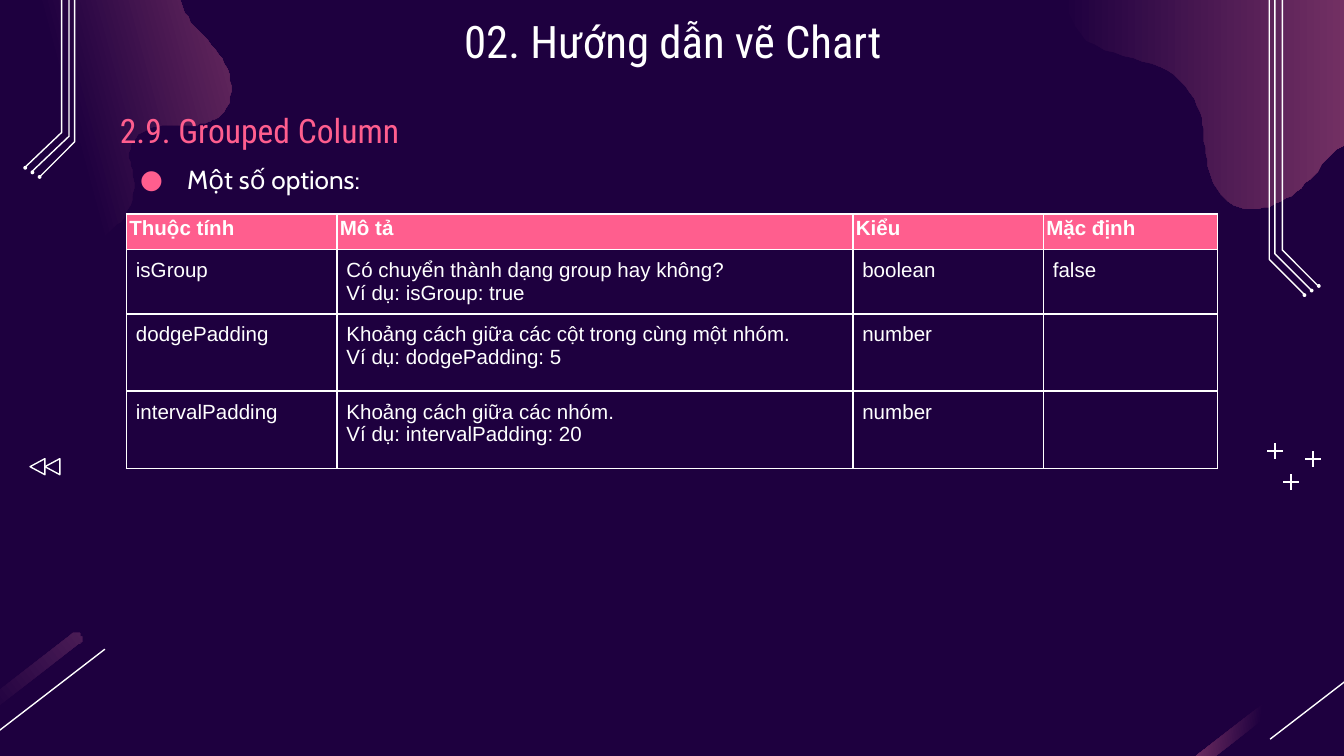
from lxml import etree
from pptx import Presentation
from pptx.dml.color import RGBColor as RGB
from pptx.enum.shapes import MSO_CONNECTOR as CONN, MSO_SHAPE as SHAPE
from pptx.enum.text import MSO_ANCHOR as ANCHOR, MSO_AUTO_SIZE as AUTO, PP_ALIGN as ALIGN
from pptx.oxml.ns import qn
from pptx.util import Pt

HEX = {"night": "1E003F", "plum": "A64D79", "dusk": "4A1C55", "pink": "FF5E8E", "white": "FFFFFF"}
INK = {name: RGB.from_string(code) for name, code in HEX.items()}

prs = Presentation()
prs.slide_width, prs.slide_height = Pt(720), Pt(405)
slide = prs.slides.add_slide(prs.slide_layouts[3])
slide.background.fill.solid()
slide.background.fill.fore_color.rgb = INK["night"]
shapes = slide.shapes


def draw(points, closed):
    pen = shapes.build_freeform(*points[0], scale=Pt(1))
    pen.add_line_segments(points[1:], close=closed)
    shape = pen.convert_to_shape()
    shape.shadow.inherit = False
    return shape


def rule(x1, y1, x2, y2):
    line = shapes.add_connector(CONN.STRAIGHT, Pt(x1), Pt(y1), Pt(x2), Pt(y2))
    line.line.color.rgb = INK["white"]
    line.line.width = Pt(0.75)
    etree.SubElement(line._element.spPr, qn("a:effectLst"))


# Outlines in inches: start, cubic curves, straight tail, then start stop, angle, end colour
blobs = [
    ((-0.03, 1.66), [
        (0.06, 1.84, 0.29, 1.95, 0.47, 1.9), (0.74, 1.83, 0.86, 1.69, 0.9, 1.65),
        (0.98, 1.56, 1.01, 1.43, 0.99, 1.31), (0.98, 1.24, 0.95, 1.17, 0.97, 1.11),
        (0.98, 1.02, 1.06, 0.97, 1.14, 0.95), (1.24, 0.92, 1.33, 0.93, 1.42, 0.93),
        (1.46, 0.93, 1.5, 0.92, 1.53, 0.91), (1.58, 0.9, 1.63, 0.88, 1.66, 0.84),
        (1.74, 0.75, 1.73, 0.61, 1.69, 0.51), (1.64, 0.41, 1.55, 0.32, 1.48, 0.23),
        (1.4, 0.15, 1.33, 0.04, 1.33, -0.07)],
     [(1.43, -0.31), (2.28, -0.43), (2.6, -0.87), (1.67, -1.51), (-1.28, -0.61),
      (-1.94, 0.22), (-0.88, 0.99), (-0.13, 1.33)], 0.5, 15, "plum"),
    ((7.9, -0.18), [
        (7.91, 0, 7.96, 0.18, 8.09, 0.3), (8.25, 0.42, 8.47, 0.42, 8.64, 0.5),
        (8.78, 0.57, 8.88, 0.69, 8.93, 0.83), (8.96, 0.94, 8.96, 1.07, 8.98, 1.19),
        (9, 1.3, 9.05, 1.43, 9.14, 1.5), (9.24, 1.57, 9.38, 1.57, 9.49, 1.52),
        (9.6, 1.47, 9.69, 1.39, 9.78, 1.3), (9.83, 1.23, 9.88, 1.16, 9.95, 1.11),
        (10.02, 1.06, 10.1, 1.03, 10.18, 1.06), (10.33, 1.1, 10.38, 1.3, 10.52, 1.38),
        (10.85, 1.57, 11.08, 1.12, 11.17, 0.88)],
     [(11.25, 0.38), (10.58, -0.77), (9.29, -1.13), (8.52, -1.43), (7.93, -0.78)], 0, 0, "plum"),
]
for x, tint, turn in ((0, "dusk", 37), (9.53, "plum", 173)):
    blobs.append(((x + 0.53, 4.72), [
        (x + 0.56, 4.7, x + 0.59, 4.7, x + 0.6, 4.72), (x + 0.61, 4.75, x + 0.61, 4.78, x + 0.59, 4.79)],
        [(x - 0.81, 5.88), (x - 0.88, 5.87), (x - 0.87, 5.8)], 0.5, turn, tint))

for start, curves, tail, first, turn, tint in blobs:
    points = [start]
    for ax, ay, bx, by, ex, ey in curves:
        sx, sy = points[-1]
        for t in [n / 8 for n in range(1, 9)]:
            u = 1 - t
            points.append(tuple(
                u**3 * s + 3 * u * u * t * a + 3 * u * t * t * b + t**3 * e
                for s, a, b, e in ((sx, ax, bx, ex), (sy, ay, by, ey))))
    blob = draw([(x * 72, y * 72) for x, y in points + tail], True)
    blob.line.fill.background()
    blob.fill.gradient()
    blob.fill.gradient_angle = turn
    for stop, place, name in zip(blob.fill.gradient_stops, (first, 1), ("night", tint)):
        stop.position = place
        stop.color.rgb = INK[name]

for x in (56.2, 743):
    rule(x, 347.8, x - 62.6, 396)

for x, top, bend, side in ((32.8, -149, 70.6, 1), (687.2, -85.7, 133.9, -1)):
    for n in range(3):
        px, py = x + side * 3.85 * n, bend + 2.45 * n
        ex, ey = px - side * 19.3, py + 19.3
        pipe = draw([(px, top), (px, py), (ex, ey)], False)
        pipe.fill.background()
        pipe.line.color.rgb = INK["white"]
        pipe.line.width = Pt(0.75)
        dot = shapes.add_shape(SHAPE.OVAL, Pt(ex - 1), Pt(ey - 1), Pt(2), Pt(2))
        dot.shadow.inherit = False
        dot.fill.solid()
        dot.fill.fore_color.rgb = INK["white"]
        dot.line.fill.background()

for x, y in ((691.6, 258.2), (703.4, 245.9), (683.1, 241.6)):
    rule(x - 4.2, y, x + 4.2, y)
    rule(x, y - 4.2, x, y + 4.2)

for x in (15.8, 23.8):
    arrow = shapes.add_shape(SHAPE.ISOSCELES_TRIANGLE, Pt(x), Pt(246), Pt(8.6), Pt(8))
    arrow.rotation = 270
    arrow.shadow.inherit = False
    arrow.fill.background()
    arrow.line.color.rgb = INK["white"]
    arrow.line.width = Pt(0.75)

title, body, head = slide.placeholders
texts = [
    (body, (57, 72, 585, 36), "Một số options:", 14, "Cabin", "white", ALIGN.LEFT, ANCHOR.TOP, 1.5, 0),
    (title, (57, 0, 607, 45), "02. Hướng dẫn vẽ Chart", 24, "Roboto Condensed", "white",
     ALIGN.CENTER, ANCHOR.TOP, 1, 0),
    (head, (57, 55.4, 505, 32.4), "2.9. Grouped Column", 18, "Roboto Condensed", "pink",
     ALIGN.LEFT, ANCHOR.BOTTOM, 1.15, 12),
]
for box, place, words, size, face, tint, align, anchor, gap, after in texts:
    shapes._spTree.append(box._element)
    box.left, box.top, box.width, box.height = map(Pt, place)
    frame = box.text_frame
    frame.text = words
    frame.word_wrap = True
    frame.auto_size = AUTO.NONE
    frame.vertical_anchor = anchor
    frame.margin_left = frame.margin_right = frame.margin_top = frame.margin_bottom = Pt(7.2)
    para = frame.paragraphs[0]
    para.alignment = align
    para.line_spacing = gap
    para.space_before, para.space_after = Pt(0), Pt(after)
    props = para._p.get_or_add_pPr()
    if box is body:
        props.set("marL", str(Pt(36)))
        props.set("indent", str(Pt(-25.2)))
        etree.SubElement(etree.SubElement(props, qn("a:buClr")), qn("a:srgbClr"), val=HEX["pink"])
        etree.SubElement(props, qn("a:buFont"), typeface="Cabin")
        etree.SubElement(props, qn("a:buChar"), char="●")
    else:
        props.set("marL", "0")
        props.set("indent", "0")
        etree.SubElement(props, qn("a:buNone"))
    para.font.size, para.font.name = Pt(size), face
    para.font.color.rgb = INK[tint]

rows = [
    ("Thuộc tính", "Mô tả", "Kiểu", "Mặc định"),
    ("isGroup", "Có chuyển thành dạng group hay không?\nVí dụ: isGroup: true", "boolean", "false"),
    ("dodgePadding", "Khoảng cách giữa các cột trong cùng một nhóm.\nVí dụ: dodgePadding: 5", "number", ""),
    ("intervalPadding", "Khoảng cách giữa các nhóm.\nVí dụ: intervalPadding: 20", "number", ""),
]
wide, high = (112.8, 276.4, 102.1, 93.2), (19, 34.6, 41.4, 41.4)
table = shapes.add_table(4, 4, Pt(67.8), Pt(114.6), Pt(sum(wide)), Pt(sum(high))).table
table.first_row = table.horz_banding = False
for col, width in zip(table.columns, wide):
    col.width = Pt(width)
for r, (row, height) in enumerate(zip(rows, high)):
    table.rows[r].height = Pt(height)
    for c, words in enumerate(row):
        cell = table.cell(r, c)
        cell.text = words
        pad = Pt(5 if r else 1.5)
        cell.margin_left = cell.margin_right = cell.margin_top = cell.margin_bottom = pad
        props = cell._tc.get_or_add_tcPr()
        for edge in ("a:lnL", "a:lnR", "a:lnT", "a:lnB"):
            line = etree.SubElement(props, qn(edge), w=str(Pt(1)))
            etree.SubElement(etree.SubElement(line, qn("a:solidFill")), qn("a:srgbClr"), val=HEX["white"])
        if r:
            cell.fill.background()
        else:
            cell.fill.solid()
            cell.fill.fore_color.rgb = INK["pink"]
        for para in cell.text_frame.paragraphs:
            para.font.size, para.font.name = Pt(11), "Arial"
            para.font.bold = r == 0
            para.font.color.rgb = INK["white"]

prs.save("out.pptx")
